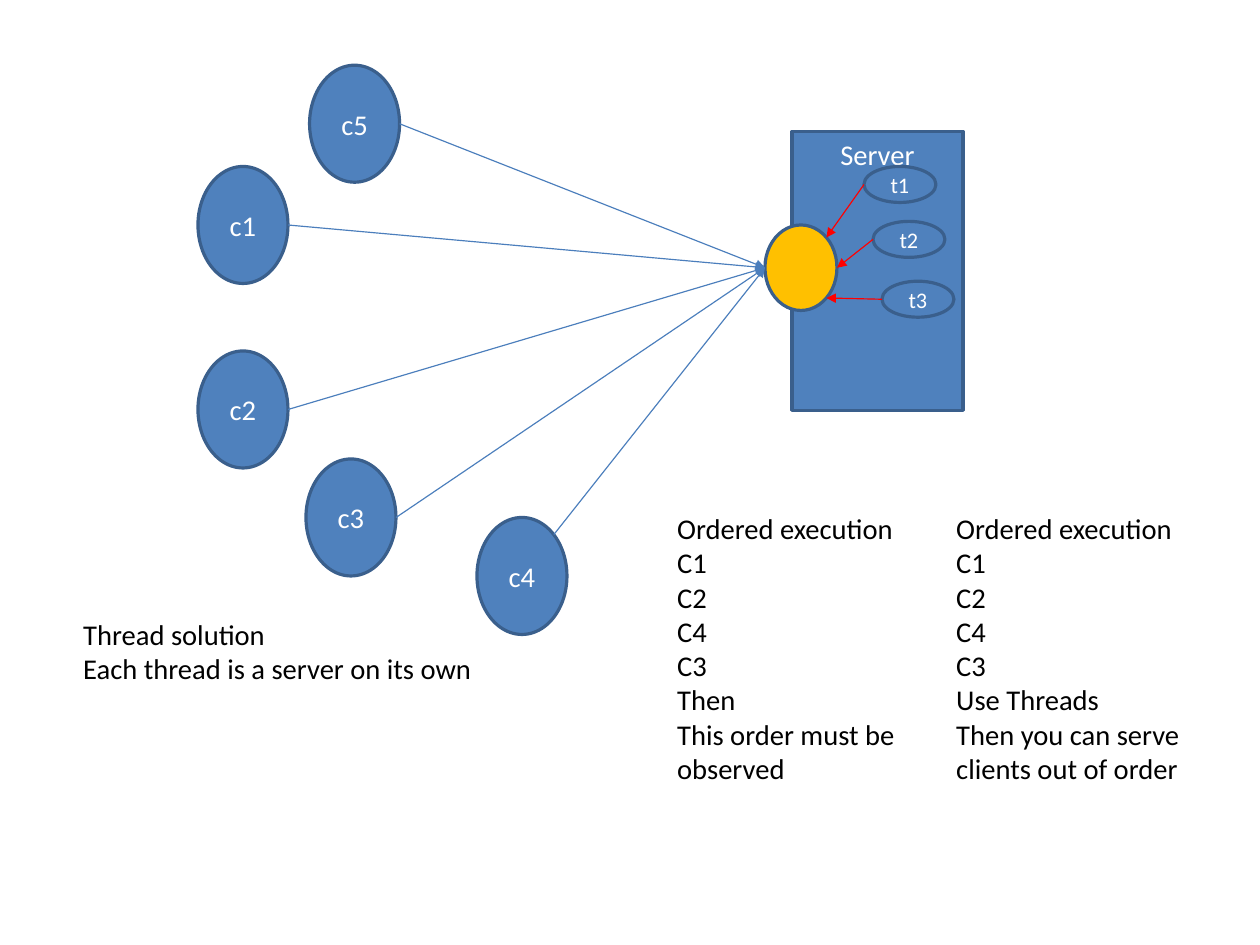
from dataclasses import dataclass
from math import cos, radians, sin

from pptx import Presentation, util as u
from pptx.dml.color import RGBColor
from pptx.enum import shapes, text
from pptx.oxml.ns import qn
from lxml import etree


@dataclass(frozen=True)
class Theme:
    font: str = "Calibri"
    body: int = 18
    small: int = 14
    outline: float = 2
    thin: float = 0.75
    blue: str = "4F81BD"
    edge: str = "3A5F8C"
    request: str = "4B7EBC"
    handling: str = "FF0000"
    port: str = "FFC000"
    light: str = "FFFFFF"
    dark: str = "000000"


class Diagram:
    def __init__(self, slide, theme):
        self.slide = slide
        self.theme = theme

    def fill_text(self, frame, lines, size, color, align, **frame_format):
        for name, value in frame_format.items():
            setattr(frame, name, value)
        for index, line in enumerate(lines):
            paragraph = frame.add_paragraph() if index else frame.paragraphs[0]
            paragraph.alignment = align
            run = paragraph.add_run()
            run.text = line
            font_format = {"name": self.theme.font, "size": u.Pt(size)}
            for name, value in font_format.items():
                setattr(run.font, name, value)
            run.font.color.rgb = RGBColor.from_string(color)

    def node(self, kind, box, label="", fill=None, size=None,
             anchor=text.MSO_ANCHOR.MIDDLE):
        node = self.slide.shapes.add_shape(kind, *map(u.Cm, box))
        node.shadow.inherit = False
        node.fill.solid()
        node.fill.fore_color.rgb = RGBColor.from_string(fill or self.theme.blue)
        node.line.color.rgb = RGBColor.from_string(self.theme.edge)
        node.line.width = u.Pt(self.theme.outline)
        if label:
            self.fill_text(node.text_frame, [label], size or self.theme.body,
                           self.theme.light, text.PP_ALIGN.CENTER,
                           vertical_anchor=anchor, word_wrap=True)

    def oval(self, box, label="", **style):
        self.node(shapes.MSO_SHAPE.OVAL, box, label, **style)

    def arrow(self, start, end, color):
        arrow = self.slide.shapes.add_connector(
            shapes.MSO_CONNECTOR.STRAIGHT, *map(u.Cm, start + end))
        arrow.line.color.rgb = RGBColor.from_string(color)
        arrow.line.width = u.Pt(self.theme.thin)
        properties = arrow._element.spPr
        etree.SubElement(properties.find(qn("a:ln")), qn("a:tailEnd"),
                         type="triangle")
        etree.SubElement(properties, qn("a:effectLst"))

    def note(self, box, lines, wrap=True):
        note = self.slide.shapes.add_textbox(*map(u.Cm, box))
        self.fill_text(note.text_frame, lines, self.theme.body,
                       self.theme.dark, text.PP_ALIGN.LEFT, word_wrap=wrap,
                       auto_size=text.MSO_AUTO_SIZE.SHAPE_TO_FIT_TEXT)


def rim(box, degrees):
    left, top, width, height = box
    angle = radians(degrees)
    return (left + width / 2 * (1 + cos(angle)),
            top + height / 2 * (1 + sin(angle)))


RIGHT, LEFT, UPPER_RIGHT, LOWER_RIGHT = 0, 180, -45, 45

CLIENTS = {
    "c1": (4.4, 3.7, RIGHT),
    "c2": (4.4, 7.8, RIGHT),
    "c3": (6.8, 10.2, RIGHT),
    "c4": (10.6, 11.5, UPPER_RIGHT),
    "c5": (6.88, 1.45, RIGHT),
}
THREADS = {
    "t1": (19.2, 3.7, UPPER_RIGHT),
    "t2": (19.4, 4.92, RIGHT),
    "t3": (19.6, 6.25, LOWER_RIGHT),
}
PORT = (17, 5, 1.6, 1.9)
ORDER = ["Ordered execution", "C1", "C2", "C4", "C3"]
OUTCOMES = {
    14.8: ["Then", "This order must be observed"],
    21: ["Use Threads", "Then you can serve clients out of order"],
}


def main():
    deck = Presentation()
    deck.slide_width, deck.slide_height = u.Cm(28), u.Cm(21)
    theme = Theme()
    diagram = Diagram(deck.slides.add_slide(deck.slide_layouts[6]), theme)

    diagram.node(shapes.MSO_SHAPE.RECTANGLE, (17.6, 2.92, 3.8, 6.2), "Server",
                 anchor=text.MSO_ANCHOR.TOP)
    diagram.oval(PORT, fill=theme.port)

    for client, (left, top, side) in CLIENTS.items():
        box = (left, top, 2, 2.6)
        diagram.oval(box, client)
        diagram.arrow(rim(box, side), rim(PORT, LEFT), theme.request)

    for thread, (left, top, side) in THREADS.items():
        box = (left, top, 1.6, 0.8)
        diagram.oval(box, thread, size=theme.small)
        diagram.arrow(rim(box, LEFT), rim(PORT, side), theme.handling)

    for left, outcome in OUTCOMES.items():
        diagram.note((left, 11.23, 6.4, 7.19), ORDER + outcome)
    diagram.note((1.6, 13.59, 9.25, 1.8),
                 ["Thread solution", "Each thread is a server on its own"],
                 wrap=False)

    deck.save("out.pptx")


if __name__ == "__main__":
    main()
